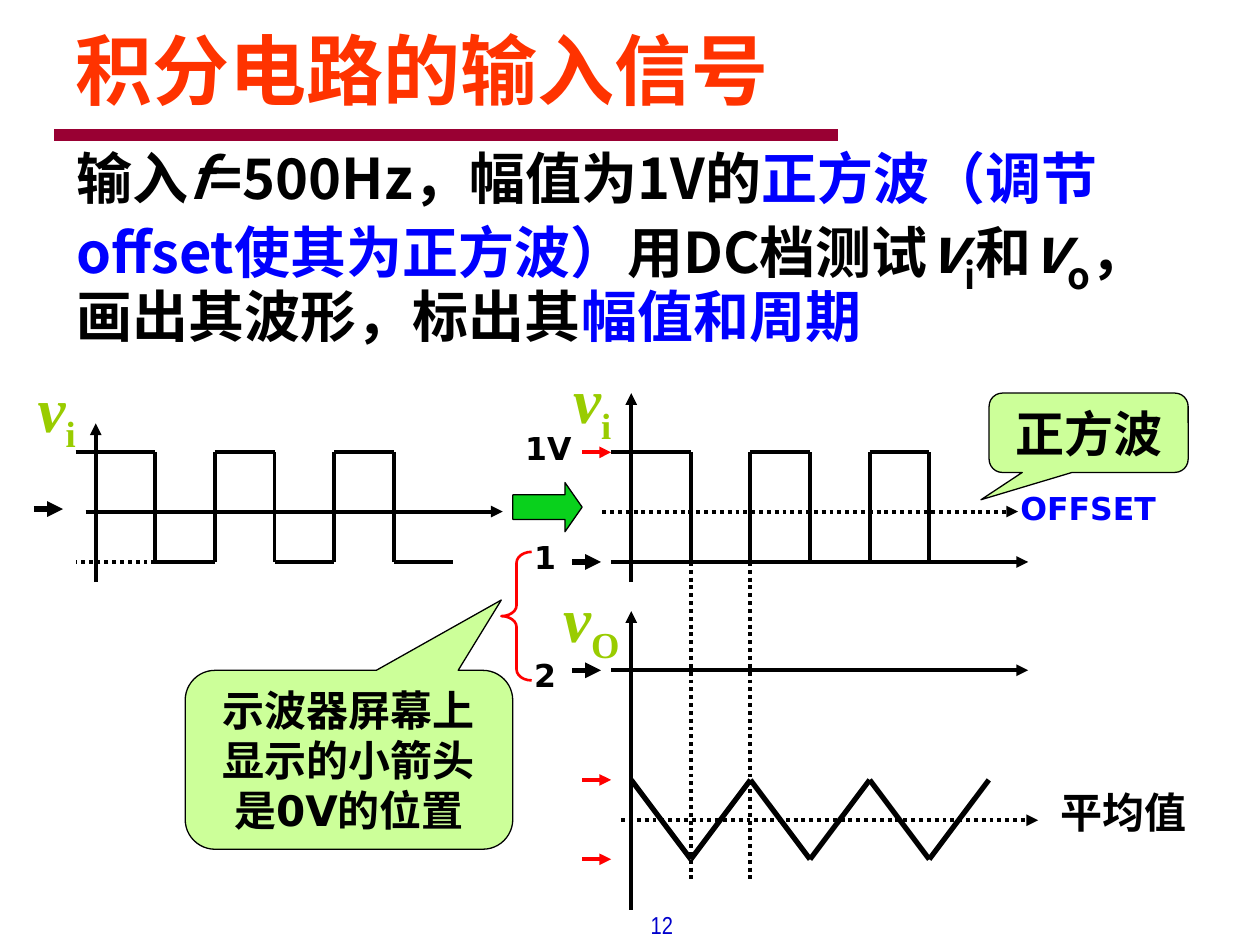
import pptx
import pptx.util
import pptx.dml.color
import pptx.enum.dml
import pptx.enum.shapes
import pptx.enum.text
from pptx.oxml import parse_xml
from pptx.oxml.ns import nsdecls, qn
from pptx.util import Inches

ALIGN = pptx.enum.text.PP_ALIGN
SHAPE = pptx.enum.shapes.MSO_SHAPE


class Theme:
    black, red, blue = "000000", "FF0000", "0000FF"
    title, rule, number = "FF3300", "990033", "0000CC"
    symbol, callout, arrow = "99CC00", "CCFF99", "09D11C"
    heading, sans, serif, narrow = (
        "Noto Sans CJK SC", "DejaVu Sans", "Times New Roman", "Arial Narrow")
    title_size, body_size, symbol_size = 44, 32, 36
    callout_size, note_size, label_size, number_size = 28, 24, 18, 14
    thin, brace, normal, bold, bar = 0.75, 1.5, 2.25, 3, 7


# Vertical levels and time step shared by the waveforms
HIGH, MIDDLE, LOW = 3.59, 4.06, 4.46
OUT_ZERO, OUT_HIGH, OUT_MEAN, OUT_LOW = 5.32, 6.19, 6.51, 6.82
HALF_PERIOD = 0.473
LEFT_AXIS, RIGHT_AXIS = 0.76, 5.01


def rgb(color):
    return pptx.dml.color.RGBColor.from_string(color)


def style_paragraph(p, size, font, color, bold=True, align=ALIGN.LEFT):
    p.alignment = align
    p.font.size = pptx.util.Pt(size)
    p.font.name = font
    p.font.bold = bold
    p.font.color.rgb = rgb(color)
    props = p._p.pPr.find(qn("a:defRPr"))
    props.append(parse_xml(f'<a:ea {nsdecls("a")} typeface="{font}"/>'))


def add_run(p, text, size=None, color=None, italic=None, subscript=False):
    r = p.add_run()
    r.text = text
    r.font.italic = italic
    if size:
        r.font.size = pptx.util.Pt(size)
    if color:
        r.font.color.rgb = rgb(color)
    if subscript:
        r._r.get_or_add_rPr().set("baseline", "-25000")


def add_text_box(s, x, y, w, h):
    tf = s.shapes.add_textbox(Inches(x), Inches(y), Inches(w), Inches(h)).text_frame
    tf.word_wrap = True
    return tf


def add_label(s, text, x, y, w, h, size=Theme.label_size, font=Theme.sans,
              color=Theme.black, **style):
    p = add_text_box(s, x, y, w, h).paragraphs[0]
    p.text = text
    style_paragraph(p, size, font, color, **style)


def add_symbol(s, subscript, x, y):
    p = add_text_box(s, x, y, 0.71, 0.79).paragraphs[0]
    add_run(p, "v", italic=True)
    add_run(p, subscript, subscript=True)
    style_paragraph(p, Theme.symbol_size, Theme.serif, Theme.symbol)


def add_line(s, start, end, color=Theme.black, width=Theme.normal,
             arrow=False, dotted=False):
    points = [Inches(v) for v in (*start, *end)]
    line = s.shapes.add_connector(pptx.enum.shapes.MSO_CONNECTOR.STRAIGHT, *points)
    line.line.color.rgb = rgb(color)
    line.line.width = pptx.util.Pt(width)
    if dotted:
        line.line.dash_style = pptx.enum.dml.MSO_LINE.ROUND_DOT
    props = line._element.spPr
    if arrow:
        props.find(qn("a:ln")).append(
            parse_xml(f'<a:tailEnd {nsdecls("a")} type="triangle"/>'))
    props.append(parse_xml(f'<a:effectLst {nsdecls("a")}/>'))


def add_path(s, points, width=Theme.normal):
    for start, end in zip(points, points[1:]):
        add_line(s, start, end, width=width)


def add_marker(s, x, y, **style):
    add_line(s, (x, y), (x + 0.23, y), arrow=True, **style)


def add_preset(s, kind, x, y, w, h, adjustments, fill=None,
               color=Theme.black, width=Theme.thin):
    sp = s.shapes.add_shape(kind, Inches(x), Inches(y), Inches(w), Inches(h))
    sp.shadow.inherit = False
    for i, value in enumerate(adjustments):
        sp.adjustments[i] = value
    if fill:
        sp.fill.solid()
        sp.fill.fore_color.rgb = rgb(fill)
    else:
        sp.fill.background()
    sp.line.color.rgb = rgb(color)
    sp.line.width = pptx.util.Pt(width)
    return sp


def add_callout(s, text, x, y, w, h, tip, size):
    sp = add_preset(s, SHAPE.ROUNDED_RECTANGULAR_CALLOUT, x, y, w, h,
                    (*tip, 0.167), Theme.callout)
    tf = sp.text_frame
    tf.word_wrap = True
    tf.vertical_anchor = pptx.enum.text.MSO_ANCHOR.MIDDLE
    p = tf.paragraphs[0]
    p.text = text
    style_paragraph(p, size, Theme.sans, Theme.black, align=ALIGN.CENTER)


def add_square_wave(s, axis, axis_top):
    add_line(s, (axis, 4.62), (axis, axis_top), arrow=True)
    start, edge = axis - 0.16, axis + HALF_PERIOD
    points = [(start, HIGH)]
    for i in range(5):
        x = edge + i * HALF_PERIOD
        before, after = (HIGH, LOW) if i % 2 == 0 else (LOW, HIGH)
        points += [(x, before), (x, after)]
    points.append((edge + 5 * HALF_PERIOD, LOW))
    add_path(s, points)
    add_line(s, (edge, LOW), (start, LOW), dotted=True)


def add_title(s):
    title = s.shapes.title
    title.left, title.top = Inches(0.5), Inches(0.21)
    title.width, title.height = Inches(9), Inches(0.83)
    tf = title.text_frame
    tf.auto_size = pptx.enum.text.MSO_AUTO_SIZE.NONE
    tf.vertical_anchor = pptx.enum.text.MSO_ANCHOR.TOP
    p = tf.paragraphs[0]
    p.text = "积分电路的输入信号"
    p.line_spacing = 0.9
    style_paragraph(p, Theme.title_size, Theme.heading, Theme.title)
    add_line(s, (0.43, 1.07), (6.65, 1.07), Theme.rule, Theme.bar)


def add_instructions(s):
    p = add_text_box(s, 0.51, 1.15, 9.06, 2.72).paragraphs[0]
    p.line_spacing = 0.9
    big = Theme.symbol_size
    add_run(p, "输入")
    add_run(p, "f", italic=True)
    add_run(p, "=500Hz，幅值为1V的")
    add_run(p, "正方波（调节offset使其为正方波）", color=Theme.blue)
    add_run(p, "用DC档测试")
    for subscript, following in (("i", "和"), ("o", "，画出其波形，标出其")):
        add_run(p, "v", big, italic=True)
        add_run(p, subscript, big, subscript=True)
        add_run(p, following)
    add_run(p, "幅值和周期", color=Theme.blue)
    style_paragraph(p, Theme.body_size, Theme.heading, Theme.black)


def add_input_waves(s):
    add_square_wave(s, LEFT_AXIS, 3.36)
    add_line(s, (0.68, MIDDLE), (3.99, MIDDLE), arrow=True)
    add_square_wave(s, RIGHT_AXIS, 3.12)
    add_line(s, (4.85, LOW), (8.16, LOW), arrow=True)
    add_line(s, (4.78, MIDDLE), (8.08, MIDDLE), arrow=True, dotted=True)
    add_preset(s, SHAPE.RIGHT_ARROW, 4.07, 3.83, 0.55, 0.39, (0.5, 0.349), Theme.arrow)


def add_output_wave(s):
    add_line(s, (RIGHT_AXIS, 7.22), (RIGHT_AXIS, 4.85), arrow=True)
    add_line(s, (4.85, OUT_ZERO), (8.16, OUT_ZERO), arrow=True)
    add_line(s, (4.93, OUT_MEAN), (8.24, OUT_MEAN), arrow=True, dotted=True)
    for i in (1, 2):
        x = RIGHT_AXIS + i * HALF_PERIOD
        add_line(s, (x, LOW), (x, 6.98), dotted=True)
    triangle = [(RIGHT_AXIS + i * HALF_PERIOD, OUT_LOW if i % 2 else OUT_HIGH)
                for i in range(7)]
    add_path(s, triangle, Theme.bold)


def add_annotations(s):
    # Level markers and the brace joining the two zero levels
    for y in (HIGH, OUT_HIGH, OUT_LOW):
        add_marker(s, 4.62, y, color=Theme.red)
    for x, y in ((0.27, 4.04), (4.54, LOW), (4.54, OUT_ZERO)):
        add_marker(s, x, y, width=Theme.bold)
    add_preset(s, SHAPE.LEFT_BRACE, 3.98, 4.38, 0.24, 1.02, (0.36, 0.5),
               color=Theme.red, width=Theme.brace)

    # Callouts
    add_callout(s, "正方波", 7.85, 3.12, 1.58, 0.63, (-0.541, 0.844), Theme.callout_size)
    add_callout(s, "示波器屏幕上显示的小箭头是0V的位置", 1.47, 5.32, 2.6, 1.42,
                (0.465, -0.893), Theme.note_size)

    # Labels
    add_label(s, "OFFSET", 8, 3.83, 1.42, 0.4, color=Theme.blue)
    add_label(s, "平均值", 8.32, 6.19, 1.38, 0.5, Theme.note_size)
    add_label(s, "1V", 4.07, 3.36, 0.63, 0.4)
    add_label(s, "1", 4.14, 4.22, 0.47, 0.4)
    add_label(s, "2", 4.14, 5.16, 0.47, 0.4)
    for subscript, x, y in (("i", 4.45, 2.81), ("O", 4.37, 4.55), ("i", 0.2, 2.88)):
        add_symbol(s, subscript, x, y)
    add_label(s, "12", 4.54, 7.17, 0.9, 0.31, Theme.number_size, Theme.narrow,
              Theme.number, bold=False, align=ALIGN.RIGHT)


def main():
    prs = pptx.Presentation()
    prs.slide_width, prs.slide_height = Inches(10), Inches(7.5)
    s = prs.slides.add_slide(prs.slide_layouts[5])
    add_title(s)
    add_instructions(s)
    add_input_waves(s)
    add_output_wave(s)
    add_annotations(s)
    prs.save("out.pptx")


if __name__ == "__main__":
    main()
